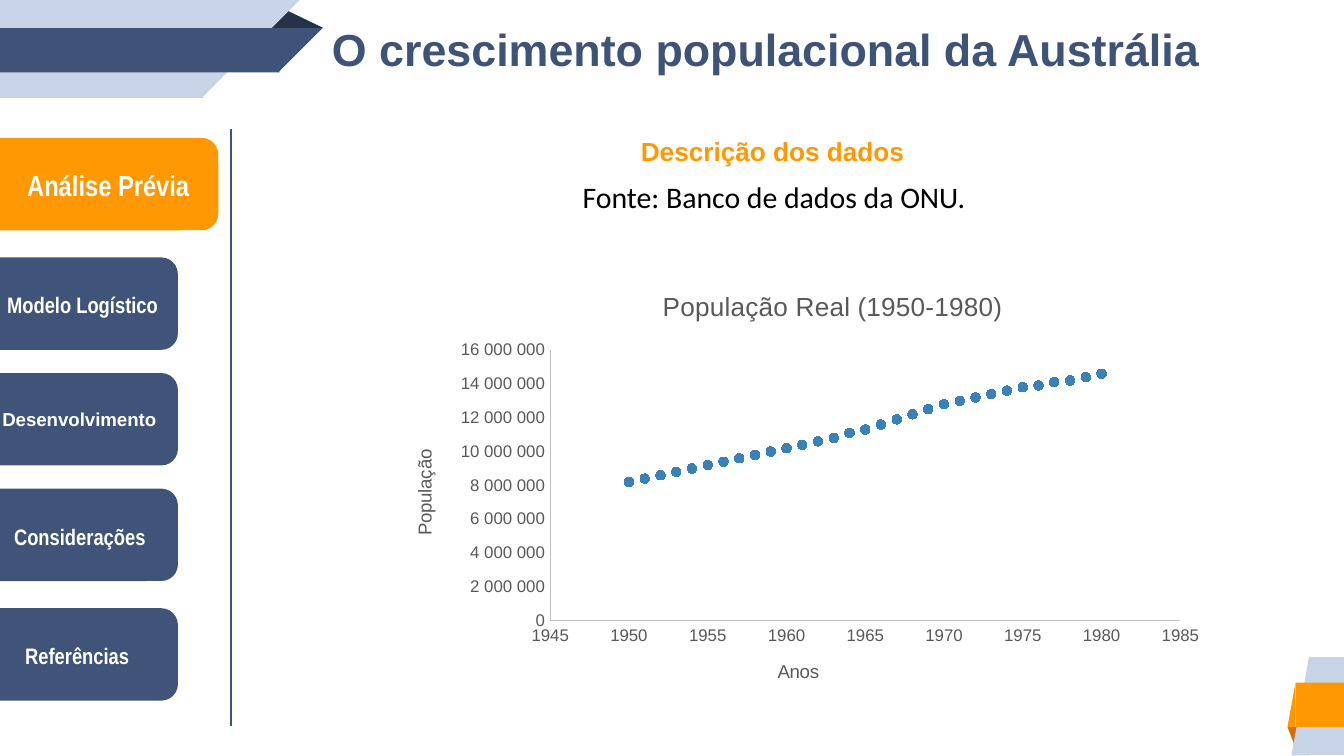
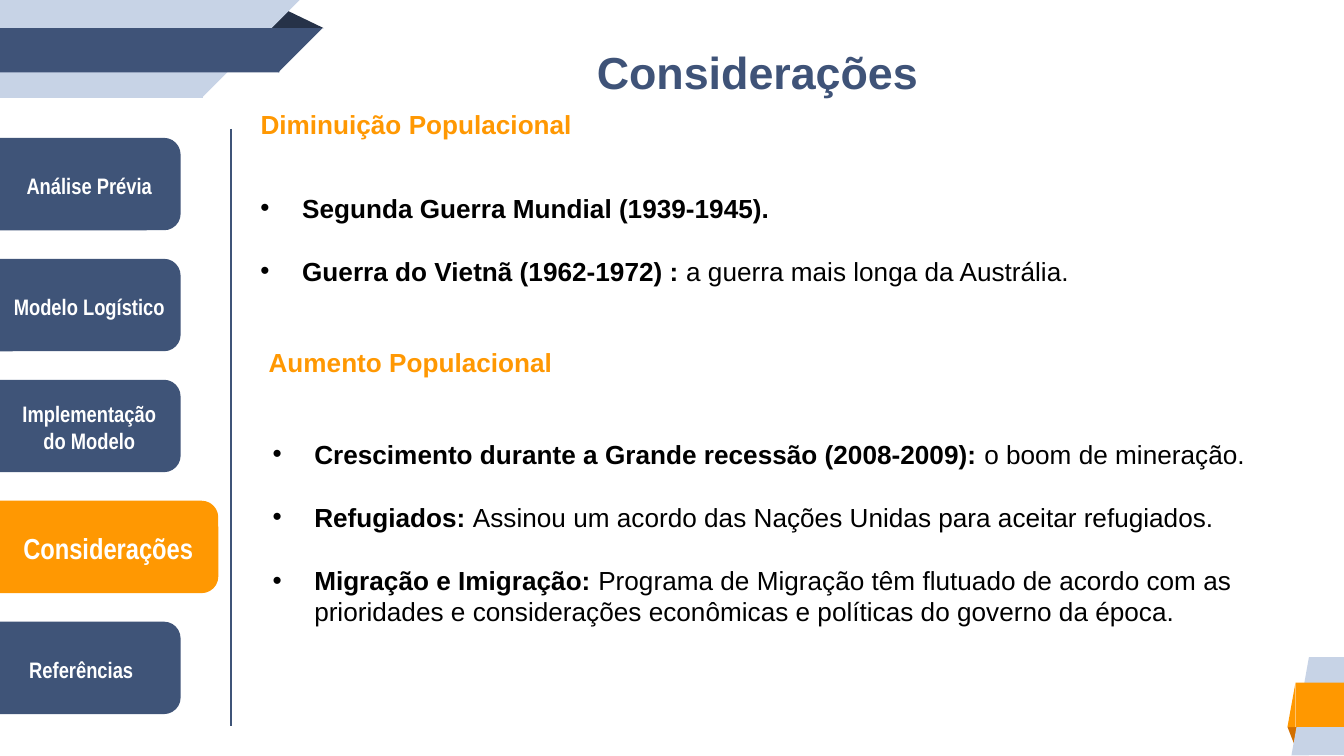
from lxml.etree import SubElement
from pptx import Presentation
from pptx.chart.data import XyChartData
from pptx.dml.color import RGBColor
from pptx.enum.chart import XL_CHART_TYPE, XL_MARKER_STYLE, XL_TICK_MARK
from pptx.enum.shapes import MSO_CONNECTOR, MSO_SHAPE
from pptx.enum.text import MSO_ANCHOR, MSO_AUTO_SIZE, PP_ALIGN
from pptx.oxml.ns import qn
from pptx.util import Inches, Pt

COLORS = {
    "navy": "3F5378", "tab": "3F5478", "orange": "FF9802", "band": "FF9800",
    "rust": "D26F00", "pale": "C7D3E6", "dark": "263248", "white": "FFFFFF",
    "black": "000000", "grey": "595959", "axis": "BFBFBF", "dots": "3A81BA",
}
STYLES = {
    "title": {"size": 24, "color": "navy", "bold": True},
    "heading": {"size": 14, "color": "orange", "bold": True},
    "source": {"size": 16, "color": "black", "name": "Calibri"},
    "body": {"size": 14, "color": "black"},
    "tab": {"size": 12, "color": "white", "bold": True, "name": "Arial Narrow"},
    "active": {"size": 15.5, "color": "white", "bold": True, "name": "Arial Narrow"},
    "small tab": {"size": 10, "color": "white", "bold": True},
    "chart title": {"size": 14, "color": "grey"},
    "axis title": {"size": 10, "color": "grey"},
    "tick": {"size": 9, "color": "grey"},
}

# Ribbons shared by every slide: preset, place, colour, attributes of the transform
RECT, CORNER, FOLD = MSO_SHAPE.RECTANGLE, MSO_SHAPE.RIGHT_TRIANGLE, MSO_SHAPE.ISOSCELES_TRIANGLE
RIBBONS = [
    (FOLD, (9.58, 5.41, 0.08, 0.14), "rust", {"rot": "10800000"}),
    (RECT, (9.74, 4.89, 0.26, 0.73), "pale", {}),
    (CORNER, (9.61, 4.89, 0.13, 0.73), "pale", {"flipH": "1"}),
    (RECT, (9.64, 5.08, 0.37, 0.33), "band", {}),
    (CORNER, (9.58, 5.08, 0.06, 0.33), "band", {"flipH": "1"}),
    (FOLD, (1.98, 0.07, 0.43, 0.14), "dark", {}),
    (RECT, (0, 0, 1.51, 0.73), "pale", {}),
    (CORNER, (1.5, 0, 0.73, 0.73), "pale", {"flipV": "1"}),
    (RECT, (0, 0.21, 2.08, 0.33), "navy", {}),
    (CORNER, (2.07, 0.21, 0.33, 0.33), "navy", {"flipV": "1"}),
]

# Side menu: label, its left edge, its style
TAB_WIDTH, ACTIVE_WIDTH, TAB_HEIGHT, ACTIVE_LEFT = 1.44, 1.72, 0.66, -0.11
DATA_MENU = {
    "left": -0.13, "tops": [1.04, 1.93, 2.79, 3.65, 4.54],
    "tabs": [("Análise Prévia", 0, "active"), ("Modelo Logístico", -0.05, "tab"),
             ("Desenvolvimento", -0.07, "small tab"), ("Considerações", -0.07, "tab"),
             ("Referências", -0.09, "tab")],
}
CLOSING_MENU = {
    "left": -0.11, "tops": [1.04 + 0.9 * step for step in range(5)],
    "tabs": [("Análise Prévia", 0, "tab"), ("Modelo Logístico", 0, "tab"),
             ("Implementação do Modelo", 0, "tab"), ("Considerações", 0, "active"),
             ("Referências", -0.06, "tab")],
}

# Headings and bullet lists; each bullet is a bold lead and a plain rest
DECREASE = [
    ("Segunda Guerra Mundial (1939-1945).", ""),
    ("Guerra do Vietnã (1962-1972) : ", "a guerra mais longa da Austrália."),
]
INCREASE = [
    ("Crescimento durante a Grande recessão (2008-2009): ", "o boom de mineração."),
    ("Refugiados: ", "Assinou um acordo das Nações Unidas para aceitar refugiados."),
    ("Migração e Imigração: ",
     "Programa de Migração têm flutuado de acordo com as prioridades e "
     "considerações econômicas e políticas do governo da época."),
]
SECTIONS = [
    ("Diminuição Populacional", (1.84, 0.76, 2.79, 0.34), DECREASE, (1.84, 1.38, 6.94, 0.81)),
    ("Aumento Populacional", (1.9, 2.53, 2.67, 0.34), INCREASE, (1.93, 3.21, 7.65, 1.75)),
]

# Population in hundreds of thousands, one value a year
FIRST_YEAR = 1950
POPULATION = [82, 84, 86, 88, 90, 92, 94, 96, 98, 100, 102, 104, 106, 108, 111, 113,
              116, 119, 122, 125, 128, 130, 132, 134, 136, 138, 139, 141, 142, 144, 146]


def rgb(name):
    return RGBColor.from_string(COLORS[name])


def inches(place):
    return [Inches(value) for value in place]


def set_font(font, style, **changes):
    values = {"name": "Arial", "bold": False, **STYLES[style], **changes}
    values["size"] = Pt(values["size"])
    font.color.rgb = rgb(values.pop("color"))
    for key, value in values.items():
        setattr(font, key, value)


def add_span(para, text, style, **changes):
    span = para.add_run()
    span.text = text
    set_font(span.font, style, **changes)


def add_box(page, place, wrap=True, anchor=MSO_ANCHOR.TOP):
    box = page.shapes.add_textbox(*inches(place))
    format_frame(box.text_frame, wrap, anchor)
    return box.text_frame


def format_frame(frame, wrap, anchor=MSO_ANCHOR.TOP):
    values = {"word_wrap": wrap, "vertical_anchor": anchor,
              "auto_size": MSO_AUTO_SIZE.SHAPE_TO_FIT_TEXT}
    for key, value in values.items():
        setattr(frame, key, value)


def add_text(page, place, text, style, align=PP_ALIGN.LEFT, **options):
    para = add_box(page, place, **options).paragraphs[0]
    para.alignment = align
    add_span(para, text, style)


def add_filled(page, preset, place, color):
    shape = page.shapes.add_shape(preset, *inches(place))
    shape.shadow.inherit = False
    shape.fill.solid()
    shape.fill.fore_color.rgb = rgb(color)
    shape.line.fill.background()
    return shape


def add_ribbons(page, layout):
    """Draw the ribbons on a page and hand them over to its layout."""
    for number, (preset, place, color, transform) in enumerate(RIBBONS, 100):
        ribbon = add_filled(page, preset, place, color)
        if preset == FOLD:
            ribbon.adjustments[0] = 0.324
        xfrm = ribbon.element.spPr.find(qn("a:xfrm"))
        for key, value in transform.items():
            xfrm.set(key, value)
        ribbon.element.nvSpPr.cNvPr.set("id", str(number))
        layout.shapes.element.append(ribbon.element)


def set_title(page, text, place):
    title = page.shapes.title
    for key, value in zip(("left", "top", "width", "height"), inches(place)):
        setattr(title, key, value)
    format_frame(title.text_frame, wrap=False)
    para = title.text_frame.paragraphs[0]
    para.alignment = PP_ALIGN.LEFT
    add_span(para, text, "title")


def add_menu(page, menu):
    # Divider beside the menu
    divider = page.shapes.add_connector(MSO_CONNECTOR.STRAIGHT, *inches((1.72, 0.96, 1.72, 5.4)))
    divider.line.color.rgb = rgb("tab")
    divider.line.width = Pt(0.75)
    SubElement(divider.element.spPr, qn("a:effectLst"))

    # Tabs with centred labels
    for top, (label, label_left, style) in zip(menu["tops"], menu["tabs"]):
        active = style == "active"
        color = "orange" if active else "tab"
        left = ACTIVE_LEFT if active else menu["left"]
        width = ACTIVE_WIDTH if active else TAB_WIDTH
        tab = add_filled(page, MSO_SHAPE.ROUNDED_RECTANGLE, (left, top, width, TAB_HEIGHT), color)
        tab.line.color.rgb = rgb(color)
        tab.line.width = Pt(2)
        if style == "small tab":
            para = tab.text_frame.paragraphs[0]
            para.alignment = PP_ALIGN.CENTER
            add_span(para, label, style)
            continue
        height = 0.36 if active else 0.5 if len(label) > 16 else 0.3
        place = (label_left, top + (TAB_HEIGHT - height) / 2 + 0.01,
                 1.61 if active else 1.33, height)
        add_text(page, place, label, style, PP_ALIGN.CENTER, anchor=MSO_ANCHOR.MIDDLE)


def add_bullets(page, place, items):
    frame = add_box(page, place)
    for index, (lead, rest) in enumerate(items):
        para = frame.add_paragraph() if index else frame.paragraphs[0]
        para.space_before = Pt(17 if index else 0)
        add_span(para, lead, "body", bold=True)
        if rest:
            add_span(para, rest, "body")
        props = para._p.get_or_add_pPr()
        props.set("marL", str(Inches(0.31)))
        props.set("indent", str(-Inches(0.31)))
        SubElement(SubElement(props, qn("a:buClr")), qn("a:srgbClr"), val=COLORS["black"])
        SubElement(props, qn("a:buFont"), typeface="Arial")
        SubElement(props, qn("a:buChar"), char="•")


def place_part(element, index, **fractions):
    """Fix a chart part at fractions of the chart's size."""
    old = element.find(qn("c:layout"))
    if old is not None:
        element.remove(old)
    layout = SubElement(element, qn("c:layout"))
    element.insert(index, layout)
    manual = SubElement(layout, qn("c:manualLayout"))
    if "w" in fractions:
        SubElement(manual, qn("c:layoutTarget"), val="inner")
    for key in ("x", "y"):
        SubElement(manual, qn(f"c:{key}Mode"), val="edge")
    for key, value in fractions.items():
        SubElement(manual, qn(f"c:{key}"), val=str(value))


def title_part(part, text, style, x, y):
    para = part.text_frame.paragraphs[0]
    add_span(para, text, style)
    place_part(part.element, 1, x=x, y=y)


def add_population_chart(page, place):
    data = XyChartData()
    points = data.add_series("Series 1")
    for year, value in enumerate(POPULATION, FIRST_YEAR):
        points.add_data_point(year, value * 100_000)
    chart = page.shapes.add_chart(XL_CHART_TYPE.XY_SCATTER, *inches(place), data).chart
    chart.has_legend = False
    chart.font.name = "Arial"
    chart.font.size = Pt(10)
    chart.has_title = True
    title_part(chart.chart_title, "População Real (1950-1980)", "chart title", 0.33, 0.03)
    place_part(chart.element.chart.plotArea, 0, x=0.2, y=0.18, w=0.76, h=0.62)

    # Axes: title and its place, scale, number format
    years, people = chart.category_axis, chart.value_axis
    for axis, text, x, y, low, high, step, number_format in [
        (years, "Anos", 0.47, 0.88, 1945, 1985, 5, "0"),
        (people, "População", 0.03, 0.4, 0, 16_000_000, 2_000_000,
         r"[>=1000000]#\ ###\ ##0;0"),
    ]:
        values = {"minimum_scale": low, "maximum_scale": high, "major_unit": step,
                  "has_major_gridlines": False, "has_title": True,
                  "major_tick_mark": XL_TICK_MARK.NONE, "minor_tick_mark": XL_TICK_MARK.NONE}
        for key, value in values.items():
            setattr(axis, key, value)
        axis.tick_labels.number_format = number_format
        axis.tick_labels.number_format_is_linked = False
        set_font(axis.tick_labels.font, "tick")
        axis.format.line.color.rgb = rgb("axis")
        axis.format.line.width = Pt(0.75)
        title_part(axis.axis_title, text, "axis title", x, y)
    for body in people.axis_title.element.iter(qn("a:bodyPr")):
        body.set("rot", "-5400000")
        body.set("vert", "horz")

    # Dots without a joining line
    series = chart.plots[0].series[0]
    chart.plots[0].vary_by_categories = False
    series.smooth = False
    series.format.line.fill.background()
    marker = series.marker
    marker.style, marker.size = XL_MARKER_STYLE.CIRCLE, 5
    marker.format.fill.solid()
    marker.format.fill.fore_color.rgb = rgb("dots")
    marker.format.line.color.rgb = rgb("dots")


def main():
    # Widescreen, 16:9
    deck = Presentation()
    deck.slide_width = Inches(10)
    deck.slide_height = Inches(10 * 9 / 16)
    layout = deck.slide_layouts[5]

    # Population data
    page = deck.slides.add_slide(layout)
    add_ribbons(page, layout)
    set_title(page, "O crescimento populacional da Austrália", (2.37, 0.11, 6.73, 0.5))
    add_text(page, (4.67, 0.96, 2.17, 0.34), "Descrição dos dados", "heading", wrap=False)
    add_text(page, (4.2, 1.28, 3.12, 0.37), "Fonte: Banco de dados da ONU.", "source",
             PP_ALIGN.CENTER)
    add_menu(page, DATA_MENU)
    add_population_chart(page, (2.86, 2.02, 6.17, 3.25))

    # Considerations
    page = deck.slides.add_slide(layout)
    set_title(page, "Considerações", (4.34, 0.28, 2.62, 0.5))
    add_menu(page, CLOSING_MENU)
    for heading, heading_place, items, items_place in SECTIONS:
        add_text(page, heading_place, heading, "heading")
        add_bullets(page, items_place, items)

    deck.save("out.pptx")


if __name__ == "__main__":
    main()
